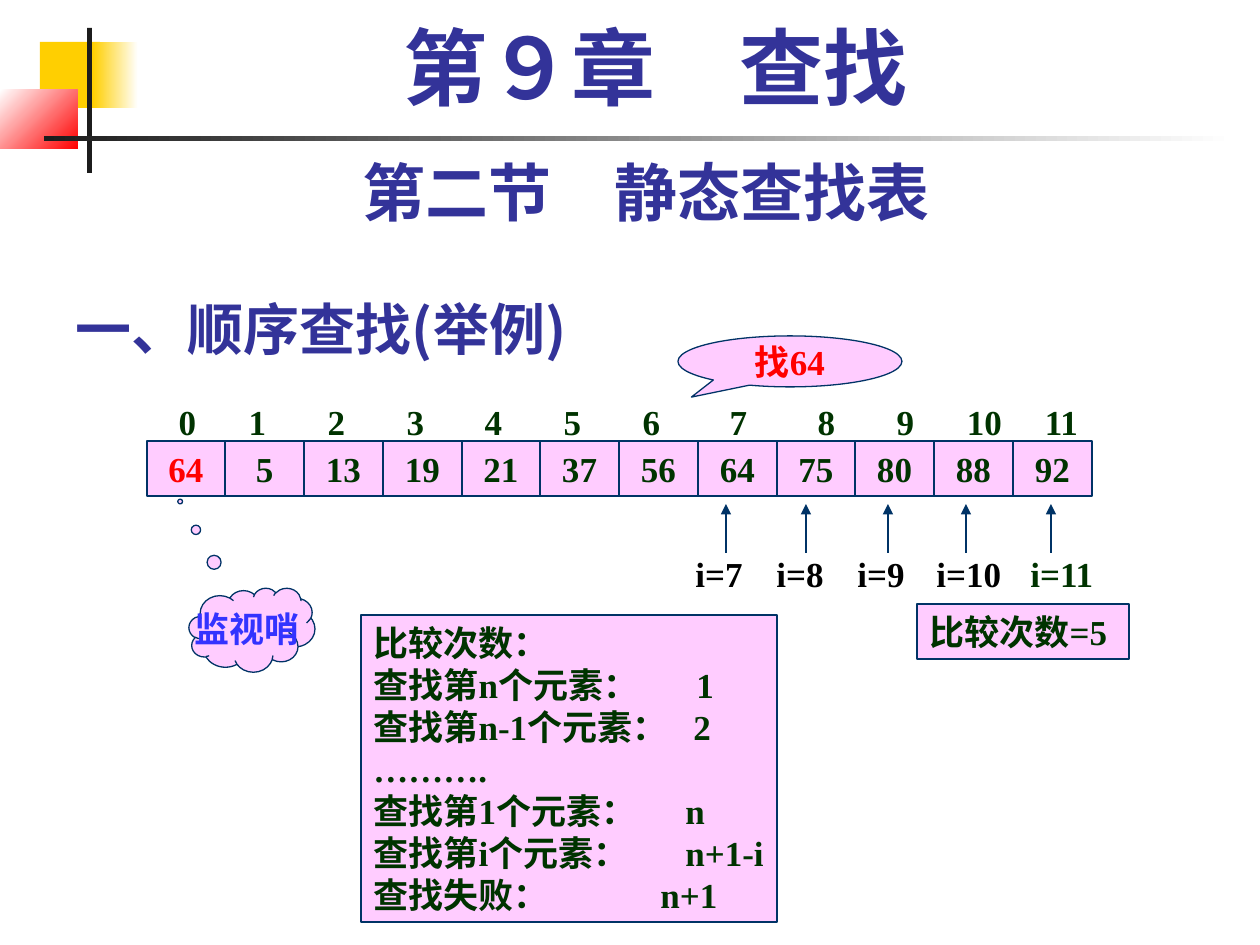
from dataclasses import dataclass
from typing import Any

from lxml import etree
from pptx import Presentation
from pptx.dml.color import RGBColor
from pptx.enum.shapes import MSO_CONNECTOR, MSO_SHAPE
from pptx.enum.text import MSO_ANCHOR, PP_ALIGN
from pptx.oxml.ns import qn
from pptx.util import Emu, Pt

RECT = MSO_SHAPE.RECTANGLE
BUBBLE = MSO_SHAPE.OVAL_CALLOUT
CLOUD = MSO_SHAPE.CLOUD_CALLOUT
LINE = MSO_CONNECTOR.STRAIGHT
LEFT, CENTER = PP_ALIGN.LEFT, PP_ALIGN.CENTER
TOP, MIDDLE, BOTTOM = MSO_ANCHOR.TOP, MSO_ANCHOR.MIDDLE, MSO_ANCHOR.BOTTOM

GOLD = RGBColor(0xFF, 0xCF, 0x01)
WHITE = RGBColor(0xFF, 0xFF, 0xFF)
BLACK = RGBColor(0, 0, 0)
RED = RGBColor(0xFF, 0, 0)
INK = RGBColor(0x1C, 0x1C, 0x1C)
INDIGO = RGBColor(0x33, 0x33, 0x99)
BLUE = RGBColor(0x33, 0x33, 0xFF)
NAVY = RGBColor(0, 0x33, 0x66)
GREEN = RGBColor(0, 0x33, 0)
PINK = RGBColor(0xFF, 0xCC, 0xFF)

SERIF, SANS, HAN = "Times New Roman", "Lato", "Noto Sans CJK SC"
SCALE = 914400 / 126


@dataclass
class Box:
    left: int
    top: int
    width: int
    height: int


@dataclass
class Style:
    color: RGBColor = GREEN
    size: int = 20
    font: str = SERIF
    align: Any = LEFT
    anchor: Any = TOP
    wrap: bool = True
    before: float = 0
    space: float = 1


@dataclass
class Row:
    text: str
    tabs: tuple[int, ...] = ()
    kind: str = "l"


@dataclass
class Mark:
    text: str
    left: int
    tip: int
    color: RGBColor = BLACK


@dataclass
class Block:
    box: Box
    start: RGBColor
    end: RGBColor | None = None
    angle: int = 0


def px(size: float) -> Emu:
    return Emu(round(size * SCALE))


def area(box: Box) -> tuple[Emu, ...]:
    return px(box.left), px(box.top), px(box.width), px(box.height)


def apply(item: Any, values: dict[str, Any]) -> None:
    for name, value in values.items():
        setattr(item, name, value)


def write(shape: Any, rows: list[Row], style: Style) -> None:
    frame = shape.text_frame
    apply(frame, {"word_wrap": style.wrap, "vertical_anchor": style.anchor})
    for i, row in enumerate(rows):
        para = frame.add_paragraph() if i else frame.paragraphs[0]
        apply(para, {"alignment": style.align, "line_spacing": style.space,
                     "space_before": Pt(style.before)})
        if row.tabs:
            stops = etree.SubElement(para._p.get_or_add_pPr(), qn("a:tabLst"))
            for stop in row.tabs:
                etree.SubElement(stops, qn("a:tab"), pos=str(px(stop)), algn=row.kind)
        run = para.add_run()
        run.text = row.text
        apply(run.font, {"name": style.font, "size": Pt(style.size), "bold": True})
        run.font.color.rgb = style.color
        etree.SubElement(run._r.get_or_add_rPr(), qn("a:ea"), typeface=HAN)


def label(slide: Any, box: Box, row: Row, style: Style) -> None:
    write(slide.shapes.add_textbox(*area(box)), [row], style)


def panel(slide: Any, box: Box, rows: list[Row], style: Style,
          kind: Any = RECT, tail: tuple[float, ...] = ()) -> Any:
    shape = slide.shapes.add_shape(kind, *area(box))
    shape.shadow.inherit = False
    shape.fill.solid()
    shape.fill.fore_color.rgb = PINK
    shape.line.color.rgb = NAVY
    shape.line.width = Pt(0.75)
    for i, value in enumerate(tail):
        shape.adjustments[i] = value
    write(shape, rows, style)
    return shape


def paint(slide: Any, block: Block) -> None:
    shape = slide.shapes.add_shape(RECT, *area(block.box))
    shape.shadow.inherit = False
    shape.line.fill.background()
    if block.end is None:
        shape.fill.solid()
        shape.fill.fore_color.rgb = block.start
        return
    shape.fill.gradient()
    shape.fill.gradient_angle = block.angle
    for stop, color in zip(shape.fill.gradient_stops, (block.start, block.end)):
        stop.color.rgb = color


def point(slide: Any, mark: Mark) -> None:
    x = px(mark.tip)
    arrow = slide.shapes.add_connector(LINE, x, px(553), x, px(504))
    arrow.line.color.rgb = NAVY
    arrow.line.width = Pt(0.75)
    etree.SubElement(arrow.line._get_or_add_ln(), qn("a:tailEnd"), type="triangle")
    etree.SubElement(arrow._element.spPr, qn("a:effectLst"))
    label(slide, Box(mark.left, 546, 92, 55), Row(mark.text), Style(mark.color))


BLOCKS = [
    Block(Box(40, 42, 60, 66), GOLD),
    Block(Box(93, 42, 45, 66), GOLD, WHITE),
    Block(Box(0, 90, 78, 59), WHITE, RED, 315),
    Block(Box(87, 28, 5, 145), INK),
    Block(Box(44, 136, 1190, 5), INK, WHITE),
]
HEADS = [
    (Box(63, 273, 788, 95), "一、顺序查找(举例)", Style(INDIGO, 32, HAN, anchor=BOTTOM)),
    (Box(63, 147, 1166, 88), "第二节　静态查找表",
     Style(INDIGO, 36, SANS, CENTER, before=22.5)),
    (Box(84, 21, 1144, 105), "第９章　查找",
     Style(INDIGO, 48, SERIF, CENTER, before=12, space=0.9)),
]
MARKS = [
    Mark("i=11", 1018, 1051, GREEN),
    Mark("i=7", 683, 726),
    Mark("i=8", 764, 806),
    Mark("i=9", 845, 888),
    Mark("i=10", 924, 966),
]
COSTS = [
    Row("比较次数："),
    Row("查找第n个元素：\t1", (323,)),
    Row("查找第n-1个元素：\t2", (320,)),
    Row("……….",),
    Row("查找第1个元素：\tn", (312,)),
    Row("查找第i个元素：\tn+1-i", (312,)),
    Row("查找失败：\tn+1", (287,)),
]
KEYS = [64, 5, 13, 19, 21, 37, 56, 64, 75, 80, 88, 92]
STOPS = (17, 87, 166, 245, 323, 402, 481, 568, 656, 735, 814, 891)


def main() -> None:
    deck = Presentation()
    apply(deck, {"slide_width": px(1260), "slide_height": px(945)})
    slide = deck.slides.add_slide(deck.slide_layouts[6])
    for block in BLOCKS:
        paint(slide, block)
    for box, text, style in HEADS:
        label(slide, box, Row(text), style)
    panel(slide, Box(678, 336, 224, 51), [Row("找64")],
          Style(RED, align=CENTER, anchor=MIDDLE, wrap=False), BUBBLE, (-0.44, 0.7))
    panel(slide, Box(189, 588, 126, 84), [Row("监视哨")],
          Style(BLUE, align=CENTER, anchor=MIDDLE, wrap=False), CLOUD, (-0.57, -1.53))
    for mark in MARKS:
        point(slide, mark)
    panel(slide, Box(917, 604, 212, 55), [Row("比较次数=5")], Style(wrap=False))
    costs = panel(slide, Box(361, 615, 416, 307), COSTS, Style())
    costs.text_frame.margin_right = 0
    order = "".join(f"\t{i}" for i in range(len(KEYS)))
    label(slide, Box(158, 394, 977, 55), Row(order, STOPS, "ctr"), Style())
    edges = [147 + 945 * i // len(KEYS) for i in range(len(KEYS) + 1)]
    for i, key in enumerate(KEYS):
        box = Box(edges[i], 441, edges[i + 1] - edges[i], 55)
        color = GREEN if i else RED
        panel(slide, box, [Row(str(key))],
              Style(color, align=CENTER, anchor=MIDDLE, wrap=False))
    deck.save("out.pptx")


if __name__ == "__main__":
    main()
